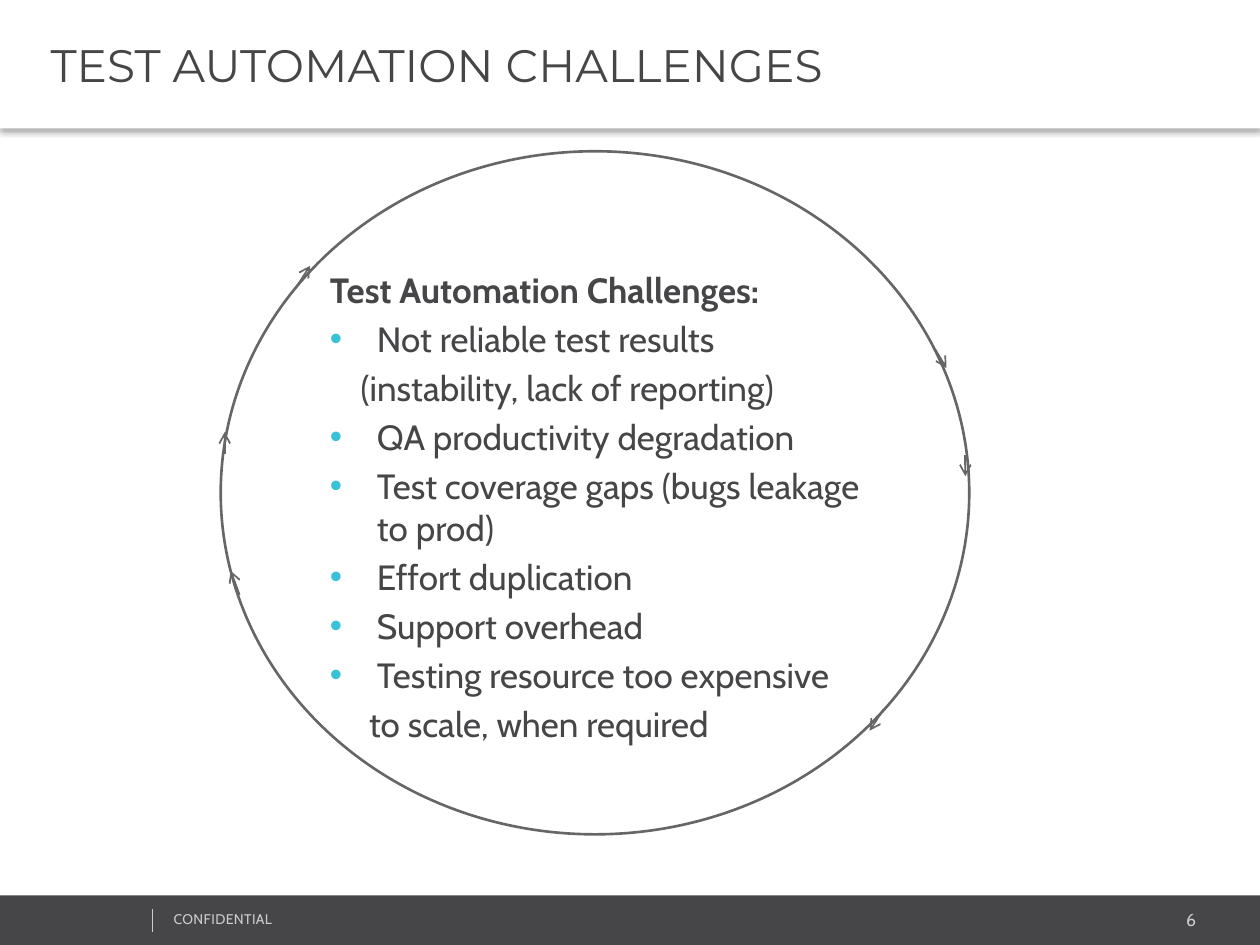
from lxml import etree
from pptx import Presentation
from pptx import util as u
from pptx.dml.color import RGBColor
from pptx.enum import shapes, text
from pptx.oxml import ns
from pptx.util import Cm

COLORS = {
    "white": "FFFFFF",
    "dark": "464547",
    "pale": "CCCCCC",
    "ring": "666666",
    "bullet": "39C2D7",
    "shadow": "000000",
}
BODY_FONT, TITLE_FONT = "Cabin", "Montserrat"

HEADING, BULLET, CONTINUED = "heading", "bullet", "continued"
CHALLENGES = [  # kind, left margin in cm, wording
    (HEADING, 0, "Test Automation Challenges:"),
    (BULLET, 0.95, "Not reliable test results"),
    (CONTINUED, 0.62, "(instability, lack of reporting)"),
    (BULLET, 0.95, "QA productivity degradation"),
    (BULLET, 0.95, "Test coverage gaps (bugs leakage to prod)"),
    (BULLET, 0.95, "Effort duplication"),
    (BULLET, 0.95, "Support overhead"),
    (BULLET, 0.95, "Testing resource too expensive"),
    (CONTINUED, 0.79, "to scale, when required"),
]

RING_ARROWS = [  # start and end in cm from the ring's top left corner
    (0.08, 6.10, 0.08, 5.66),
    (15.01, 6.12, 15.01, 6.55),
    (0.38, 8.94, 0.20, 8.46),
    (14.40, 3.99, 14.63, 4.37),
    (13.36, 11.25, 13.08, 11.68),
    (1.50, 2.77, 1.80, 2.31),
]


def rgb(name):
    return RGBColor.from_string(COLORS[name])


def sub(parent, tag, **attrs):
    return etree.SubElement(parent, ns.qn(tag), **attrs)


def add_run(p, wording, size, color, font=BODY_FONT, bold=False):
    r = p.add_run()
    r.text = wording
    r.font.size = u.Pt(size)
    r.font.name = font
    r.font.bold = bold
    r.font.color.rgb = rgb(color)
    return r


def add_shape(parent, kind, box, fill=None, line=None, width=1):
    sp = parent.add_shape(kind, *map(Cm, box))
    sp.shadow.inherit = False
    if fill:
        sp.fill.solid()
        sp.fill.fore_color.rgb = rgb(fill)
    else:
        sp.fill.background()
    if line:
        sp.line.color.rgb = rgb(line)
        sp.line.width = u.Pt(width)
    else:
        sp.line.fill.background()
    return sp


def add_line(parent, ends, color, width, arrow=False):
    line = parent.add_connector(shapes.MSO_CONNECTOR.STRAIGHT, *map(Cm, ends))
    line.line.color.rgb = rgb(color)
    line.line.width = u.Pt(width)
    if arrow:
        sub(line.line._get_or_add_ln(), "a:tailEnd", type="arrow")
    sub(line._element.spPr, "a:effectLst")


def add_text(s, box):
    tf = s.shapes.add_textbox(*map(Cm, box)).text_frame
    tf.word_wrap = True
    return tf


def add_footer(s, box):
    x, y, _, _ = box
    add_shape(s.shapes, shapes.MSO_SHAPE.RECTANGLE, box, fill="dark")

    p = add_text(s, (x + 20.22, y + 0.15, 4.14, 0.69)).paragraphs[0]
    p.alignment = text.PP_ALIGN.RIGHT
    add_run(p, "6", 10, "pale")

    p = add_text(s, (x + 3.25, y + 0.18, 6.43, 0.61)).paragraphs[0]
    r = add_run(p, "CONFIDENTIAL", 8, "pale")
    r._r.get_or_add_rPr().set("spc", "20")

    add_line(s.shapes, (x + 3.07, y + 0.28, x + 3.07, y + 0.74), "pale", 0.25)


def add_title_bar(s, box):
    sp = add_shape(s.shapes, shapes.MSO_SHAPE.RECTANGLE, box, fill="white")
    effects = sp._element.spPr.find(ns.qn("a:effectLst"))
    shadow = sub(effects, "a:outerShdw", blurRad=str(u.Pt(3.1)),
                 dist=str(u.Pt(2)), dir="5400000", algn="t", rotWithShape="0")
    sub(sub(shadow, "a:srgbClr", val=COLORS["shadow"]), "a:alpha", val="30000")

    tf = sp.text_frame
    tf.word_wrap = True
    tf.vertical_anchor = text.MSO_ANCHOR.MIDDLE
    tf.margin_left = Cm(1.02)
    p = tf.paragraphs[0]
    p.alignment = text.PP_ALIGN.LEFT
    add_run(p, "TEST AUTOMATION CHALLENGES", 26, "dark", TITLE_FONT)


def add_challenges(s, box):
    tf = add_text(s, box)
    for i, (kind, margin, wording) in enumerate(CHALLENGES):
        p = tf.add_paragraph() if i else tf.paragraphs[0]
        p.space_before = u.Pt(4)
        pPr = p._p.get_or_add_pPr()
        pPr.set("marL", str(Cm(margin)))
        if kind == BULLET:
            pPr.set("indent", str(-Cm(margin)))
            sub(sub(pPr, "a:buClr"), "a:srgbClr", val=COLORS["bullet"])
            sub(pPr, "a:buFont", typeface="Arial")
            sub(pPr, "a:buChar", char="•")
        else:
            pPr.set("indent", "0")
            sub(pPr, "a:buNone")
        add_run(p, wording, 20, "dark", bold=kind == HEADING)


def add_cycle_ring(s, box):
    x, y, _, _ = box
    ring = s.shapes.add_group_shape().shapes
    add_shape(ring, shapes.MSO_SHAPE.OVAL, box, line="ring", width=1.5)
    for x1, y1, x2, y2 in RING_ARROWS:
        add_line(ring, (x + x1, y + y1, x + x2, y + y2), "ring", 1, arrow=True)


def main():
    prs = Presentation()
    prs.slide_width, prs.slide_height = Cm(25.4), Cm(19.05)
    s = prs.slides.add_slide(prs.slide_layouts[6])
    add_footer(s, (0, 18.05, 25.4, 1.02))
    add_title_bar(s, (0, 0, 25.4, 2.59))
    add_challenges(s, (6.4, 5.28, 11.28, 11.51))
    add_cycle_ring(s, (4.45, 3.05, 15.09, 13.77))
    prs.save("out.pptx")


if __name__ == "__main__":
    main()
